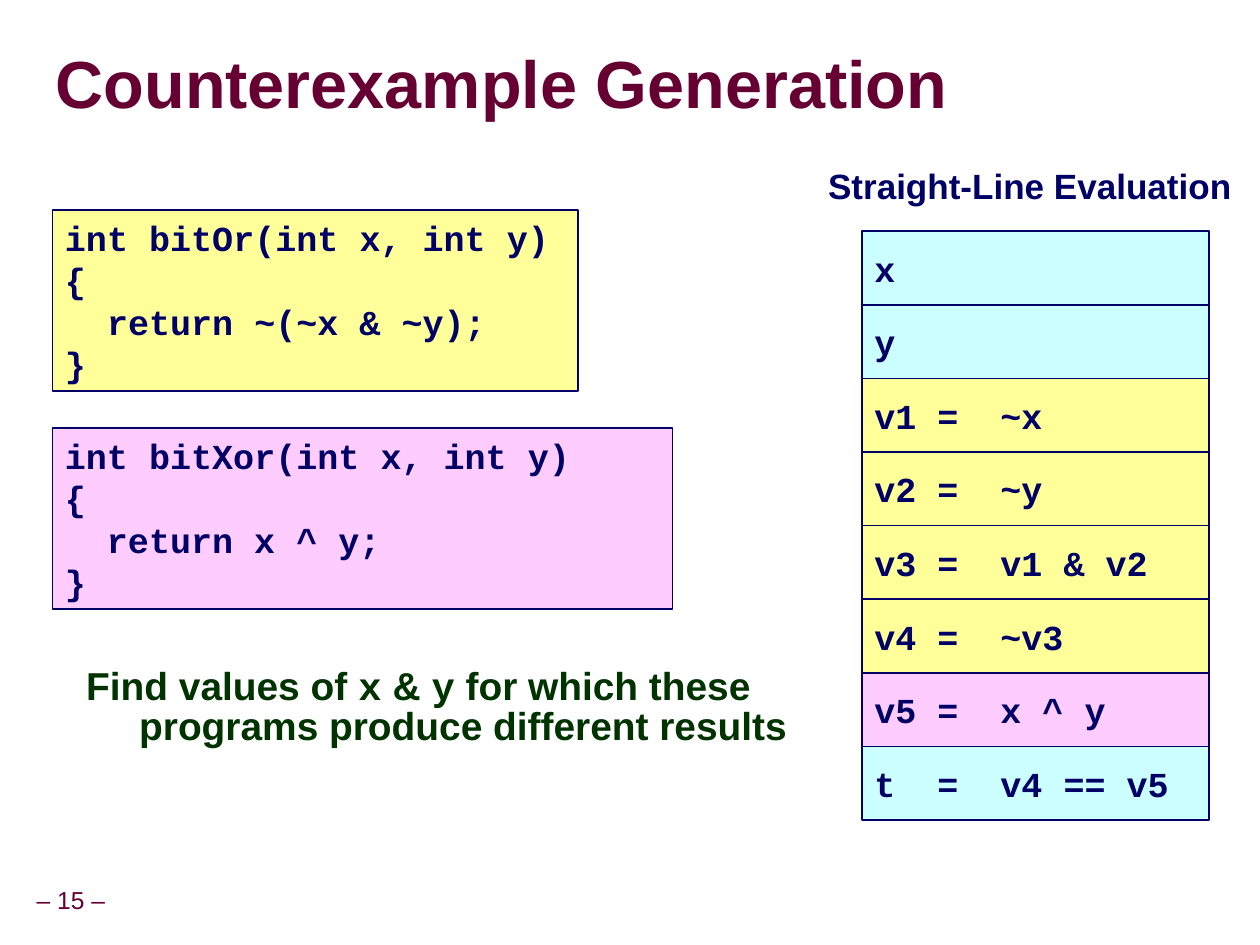
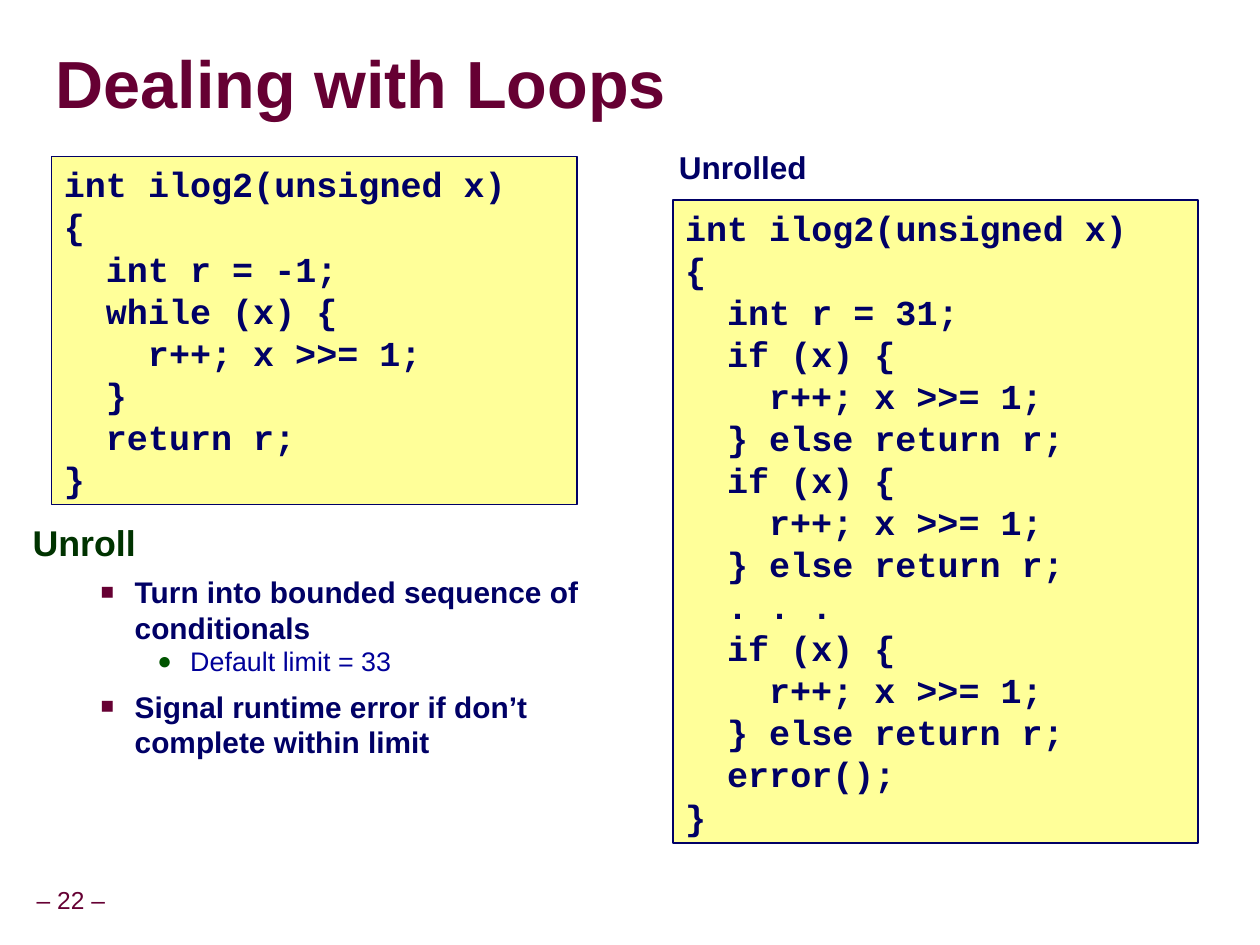
from dataclasses import dataclass
from typing import NamedTuple

from lxml.etree import SubElement
from pptx import Presentation
from pptx.dml.color import RGBColor
from pptx.enum.shapes import MSO_SHAPE
from pptx.enum.text import MSO_ANCHOR, MSO_AUTO_SIZE, PP_ALIGN
from pptx.oxml.ns import qn
from pptx.util import Emu, Inches, Pt


@dataclass(frozen=True)
class Theme:
    """Colours, fonts and type sizes of the deck."""
    wine: str = "660033"
    navy: str = "000066"
    blue: str = "000099"
    green: str = "003300"
    leaf: str = "005400"
    gray: str = "808080"
    yellow: str = "FFFF99"
    pink: str = "FFCCFF"
    cyan: str = "CCFFFF"
    sans: str = "Arial"
    mono: str = "Courier New"
    title: float = 38
    goal: float = 22.2
    head: float = 20.4
    code: float = 20
    label: float = 18
    point: float = 17
    detail: float = 15.3
    foot: float = 14


class Box(NamedTuple):
    """A place on the grid, in columns and rows."""
    col: float
    row: float
    wide: float
    high: float


class Step(NamedTuple):
    """One row of the evaluation stack."""
    text: str
    fill: str


class Block(NamedTuple):
    """A filled box of program code."""
    box: Box
    fill: str
    code: str


class Mark(NamedTuple):
    """The sign that leads a list line."""
    sign: str
    color: str
    size: int


class Item(NamedTuple):
    """A line of the list and its format."""
    text: str
    look: dict


THEME = Theme()
UNIT = Inches(1) / 12
NUMBER = Box(-1.1, 83.9, 15.7, 3.7)
TITLE = Box(5.3, 3.2, 114.2, 10.2)
STACK = Box(82, 22, 33, 7)
SQUARE = Mark("■", THEME.wine, 75)
DOT = Mark("●", THEME.leaf, 90)

POINT = dict(size=THEME.point, color=THEME.navy, level=1, left=0.81, hang=0.27,
             before=6.2, mark=SQUARE)
DETAIL = dict(size=THEME.detail, color=THEME.blue, bold=False, level=2, left=1.25,
              hang=0.26, space=0.87, before=2.2, mark=DOT)
HEAD = dict(color=THEME.green, left=0.42, hang=0.42, before=15)

STEPS = (
    Step("x", THEME.cyan),
    Step("y", THEME.cyan),
    Step("v1 =\t~x", THEME.yellow),
    Step("v2 =\t~y", THEME.yellow),
    Step("v3 =\tv1 & v2", THEME.yellow),
    Step("v4 =\t~v3", THEME.yellow),
    Step("v5 =\tx ^ y", THEME.pink),
    Step("t\t=\tv4 == v5", THEME.cyan),
)

PAIR = (
    Block(Box(5, 20, 50, 17.2), THEME.yellow, """int bitOr(int x, int y)
{
  return ~(~x & ~y);
}"""),
    Block(Box(5, 40.7, 59, 17.2), THEME.pink, """int bitXor(int x, int y)
{
  return x ^ y;
}"""),
)

TEST = """  if (x) {
    r++; x >>= 1;
  } else return r;
"""

LOOPS = (
    Block(Box(4.9, 14.9, 50, 33.1), THEME.yellow, """int ilog2(unsigned x)
{
  int r = -1;
  while (x) {
    r++; x >>= 1;
  }
  return r;
}"""),
    Block(Box(64, 19, 50, 61.2), THEME.yellow, f"""int ilog2(unsigned x)
{{
  int r = 31;
{TEST * 2}  . . .
{TEST}  error();
}}"""),
)

GOAL = (
    Item("Find values of `x` & `y` for which these programs produce different results",
         dict(HEAD, size=THEME.goal, space=0.85)),
)

UNROLL = (
    Item("Unroll", dict(HEAD, size=THEME.head, space=0.75)),
    Item("Turn into bounded sequence of conditionals", POINT),
    Item("Default limit = 33", DETAIL),
    Item("Signal runtime error if don’t complete within limit", POINT),
)


def place(shape, box: Box) -> None:
    """Move a shape to its place on the grid."""
    shape.left, shape.top, shape.width, shape.height = (
        Emu(round(n * UNIT)) for n in box)


def fit(shape, pad: tuple = (0.1, 0.05), anchor=MSO_ANCHOR.TOP, wrap: bool = True):
    """Set insets, anchor and wrapping, and return the text frame."""
    frame = shape.text_frame
    frame.auto_size = MSO_AUTO_SIZE.NONE
    frame.word_wrap = wrap
    frame.vertical_anchor = anchor
    frame.margin_left = frame.margin_right = Inches(pad[0])
    frame.margin_top = frame.margin_bottom = Inches(pad[1])
    return frame


def write(frame, text: str, *, size: float, color: str, font: str = THEME.sans,
          bold: bool = True, align=PP_ALIGN.LEFT, level: int = 0, left: float = 0,
          hang: float = 0, space: float = 1, before: float = 0,
          mark: Mark | None = None, tabs: tuple = (), shade: bool = False) -> None:
    """Add one paragraph, with backquoted words in the code font."""
    para = frame.paragraphs[0]
    if para.runs:
        para = frame.add_paragraph()
    para.alignment, para.level = align, level
    para.line_spacing, para.space_before = space, Pt(before)
    props = para._p.get_or_add_pPr()
    props.set("marL", str(Inches(left)))
    props.set("indent", str(-Inches(hang)))
    if mark:
        tint = SubElement(props, qn("a:buClr"))
        SubElement(tint, qn("a:srgbClr"), val=mark.color)
        SubElement(props, qn("a:buSzPct"), val=str(mark.size * 1000))
        SubElement(props, qn("a:buFont"), typeface=THEME.sans)
        SubElement(props, qn("a:buChar"), char=mark.sign)
    else:
        SubElement(props, qn("a:buNone"))
    if tabs:
        stops = SubElement(props, qn("a:tabLst"))
        for stop in tabs:
            SubElement(stops, qn("a:tab"), pos=str(Inches(stop)), algn="l")
    for i, part in enumerate(text.split("`")):
        run = para.add_run()
        run.text = part
        run.font.size, run.font.bold = Pt(size), bold
        run.font.color.rgb = RGBColor.from_string(color)
        if shade:
            glow = SubElement(run.font._element, qn("a:effectLst"))
            cast = SubElement(glow, qn("a:outerShdw"), dist="38100", dir="2700000")
            SubElement(cast, qn("a:srgbClr"), val=THEME.gray)
        run.font.name = THEME.mono if i % 2 else font


def panel(slide, box: Box, fill: str):
    """Draw a filled and outlined box."""
    shape = slide.shapes.add_shape(MSO_SHAPE.RECTANGLE, 0, 0, 0, 0)
    place(shape, box)
    shape.shadow.inherit = False
    shape.fill.solid()
    shape.fill.fore_color.rgb = RGBColor.from_string(fill)
    shape.line.color.rgb = RGBColor.from_string(THEME.navy)
    shape.line.width = Pt(1)
    return shape


def listing(slide, block: Block) -> None:
    """Draw a code box, each line indented by its depth."""
    frame = fit(panel(slide, block.box, block.fill))
    for line in block.code.splitlines():
        bare = line.lstrip()
        depth = len(line) - len(bare)
        write(frame, bare, size=THEME.code, color=THEME.navy, font=THEME.mono,
              left=depth * THEME.code * 0.6 / 72)


def stack(slide, steps: tuple[Step, ...]) -> None:
    """Pile the evaluation steps downwards."""
    for i, step in enumerate(steps):
        box = STACK._replace(row=STACK.row + i * STACK.high)
        frame = fit(panel(slide, box, step.fill), anchor=MSO_ANCHOR.MIDDLE)
        write(frame, step.text, size=THEME.code, color=THEME.navy,
              font=THEME.mono, tabs=(0.5, 1))


def label(slide, box: Box, text: str, anchor=MSO_ANCHOR.TOP, **look) -> None:
    """Write a line of text that does not wrap."""
    shape = slide.shapes.add_textbox(0, 0, 0, 0)
    place(shape, box)
    write(fit(shape, (0.05, 0.05), anchor, False), text, space=0.9, **look)


def start(deck, title: str, page: int, box: Box, items: tuple[Item, ...]):
    """Add a slide with its title, list and page number."""
    slide = deck.slides.add_slide(deck.slide_layouts[1])
    head, body = slide.placeholders
    place(head, TITLE)
    write(fit(head, (0, 0), MSO_ANCHOR.MIDDLE), title, size=THEME.title,
          color=THEME.wine, space=0.87, shade=True)
    place(body, box)
    frame = fit(body)
    for item in items:
        write(frame, item.text, **item.look)
    label(slide, NUMBER, f"– {page} –", MSO_ANCHOR.MIDDLE, size=THEME.foot,
          color=THEME.wine, bold=False, align=PP_ALIGN.CENTER)
    return slide


def main() -> None:
    """Build both slides and save the deck."""
    deck = Presentation()
    deck.slide_width, deck.slide_height = Inches(9.99), Inches(7.49)

    slide = start(deck, "Counterexample Generation", 15, Box(7, 63, 69.7, 13.2), GOAL)
    for block in PAIR:
        listing(slide, block)
    stack(slide, STEPS)
    label(slide, Box(78.2, 15.5, 39.6, 4.8), "Straight-Line Evaluation",
          size=THEME.code, color=THEME.navy, align=PP_ALIGN.CENTER)

    slide = start(deck, "Dealing with Loops", 22, Box(1.9, 49.9, 56, 23.2), UNROLL)
    for block in LOOPS:
        listing(slide, block)
    label(slide, Box(64, 13.9, 13.3, 4.4), "Unrolled",
          size=THEME.label, color=THEME.navy)

    deck.save("out.pptx")


if __name__ == "__main__":
    main()
